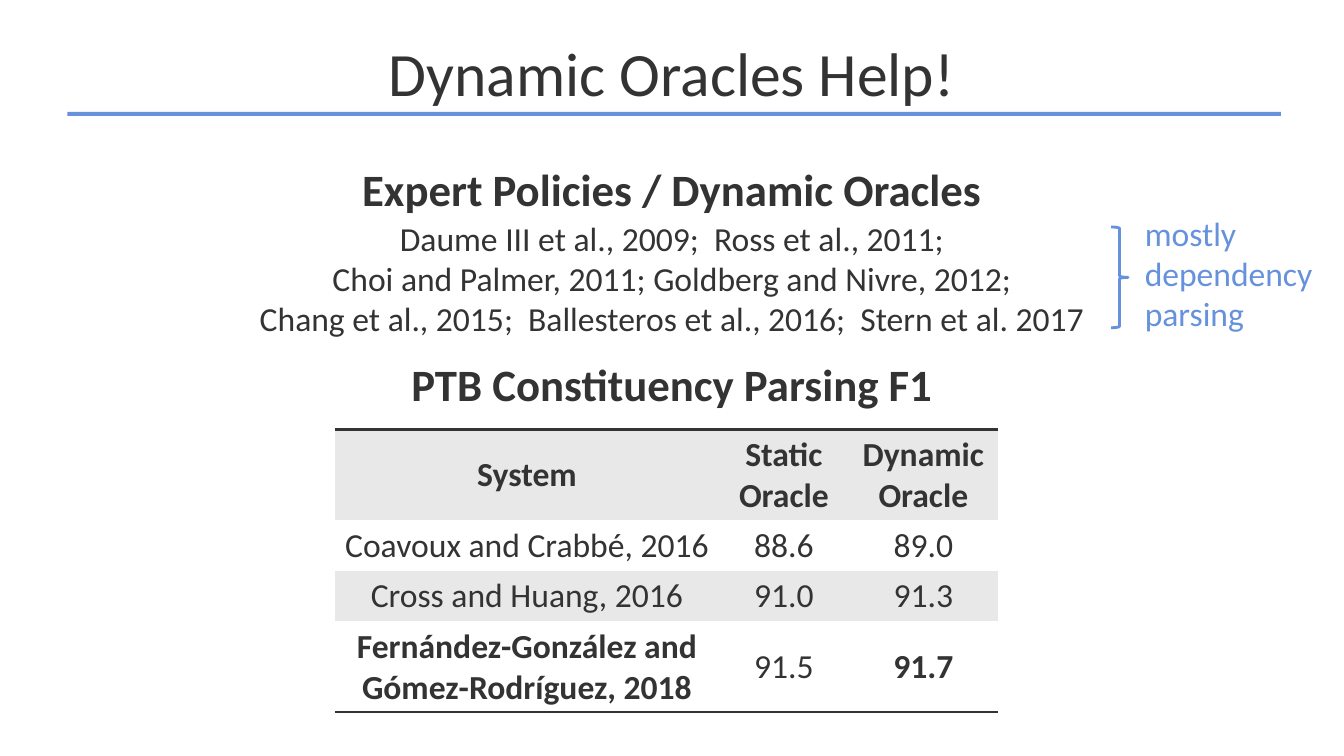
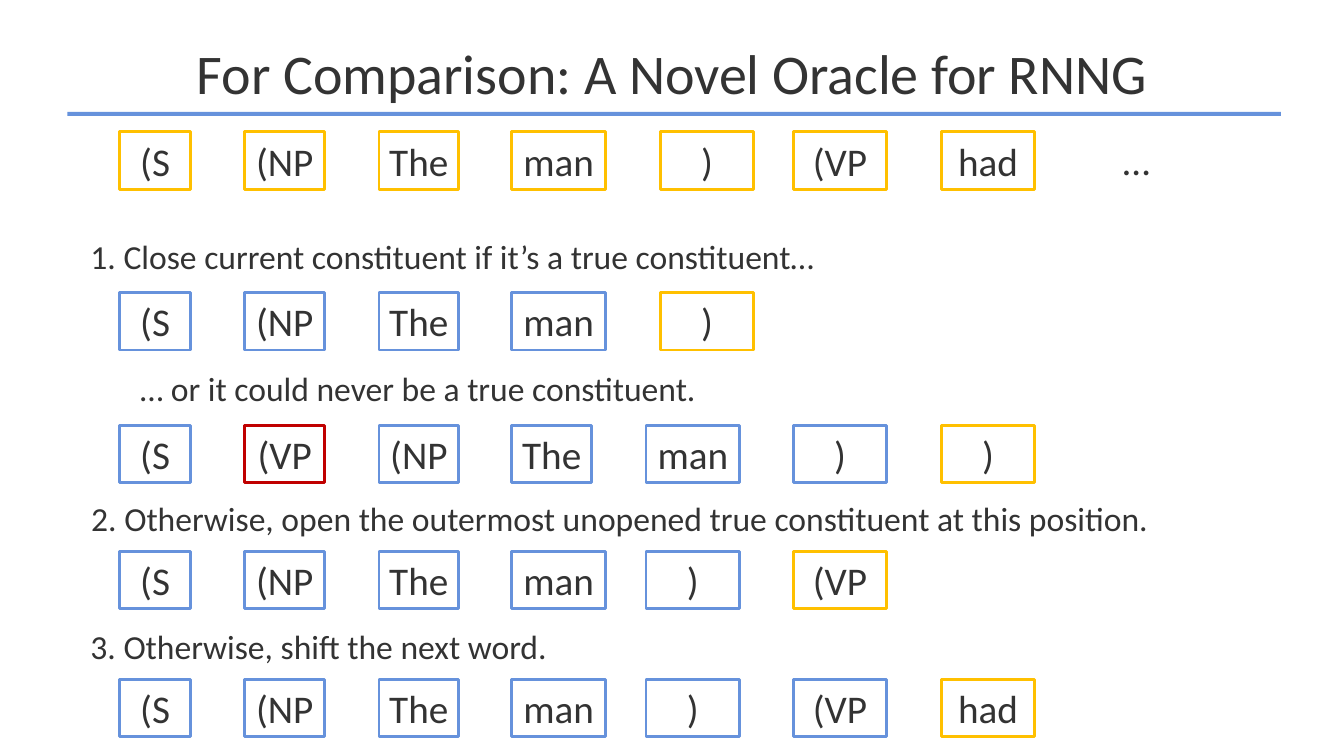
import pptx
import pptx.util
import pptx.dml.color
import pptx.enum.shapes
import pptx.enum.text
import pptx.oxml
import pptx.oxml.ns

Cm = pptx.util.Cm
Pt = pptx.util.Pt
SHAPE = pptx.enum.shapes.MSO_SHAPE
ALIGN = pptx.enum.text.PP_ALIGN
ANCHOR = pptx.enum.text.MSO_ANCHOR

INK = {"text": "333333", "blue": "6692DC", "gold": "FFC000",
       "red": "C00000", "band": "E8E8E8", "white": "FFFFFF"}
FONT = "Calibri"
WIDE, HIGH = 33.87, 19.05
NO_GRID = "{2D5ABB26-0587-4C30-8999-92F81FD0307C}"

# Token columns: left edge and widest box in each
LEFTS = [3.02, 6.17, 9.55, 12.9, 16.28, 19.99, 23.72, 27.46]
WIDTHS = [1.78, 2.01, 2.01] + [2.36] * 5
SHORT = {"The": 2.01}
TALL = 1.45
CLOSE_SHIFT = 0.36


def color(name):
    return pptx.dml.color.RGBColor.from_string(INK[name])


def write(frame, text, size=24, bold=False, ink="text", align=ALIGN.CENTER,
          anchor=ANCHOR.TOP, wrap=True):
    frame.text = text
    frame.word_wrap = wrap
    frame.vertical_anchor = anchor
    for para in frame.paragraphs:
        para.alignment = align
        for run in para.runs:
            run.font.name = FONT
            run.font.size = Pt(size)
            run.font.bold = bold
            run.font.color.rgb = color(ink)


def label(shapes, text, left, top, width, height, **style):
    box = shapes.add_textbox(Cm(left), Cm(top), Cm(width), Cm(height))
    write(box.text_frame, text, **style)


def draw(shapes, kind, left, top, width, height, fill=None, line=None):
    shape = shapes.add_shape(kind, Cm(left), Cm(top), Cm(width), Cm(height))
    shape.shadow.inherit = False
    if fill:
        shape.fill.solid()
        shape.fill.fore_color.rgb = color(fill)
    else:
        shape.fill.background()
    if line:
        shape.line.color.rgb = color(line)
        shape.line.width = Pt(2)
    else:
        shape.line.fill.background()
    return shape


def start(deck, text, size):
    """Add a slide with the shared title and the rule under it."""
    slide = deck.slides.add_slide(deck.slide_layouts[5])
    draw(slide.shapes, SHAPE.RECTANGLE, 1.7, 2.82, 30.58, 0.1, fill="blue")
    title = slide.shapes.title
    title.left, title.top = Cm(0), Cm(0.41)
    title.width, title.height = Cm(WIDE), Cm(2.79)
    write(title.text_frame, text, size=size, anchor=ANCHOR.MIDDLE)
    title.text_frame.auto_size = pptx.enum.text.MSO_AUTO_SIZE.NONE
    return slide.shapes


def edge(cell, side):
    """Rule one side of a cell: lnT is the top, lnB the bottom."""
    names = pptx.oxml.ns.nsdecls("a")
    xml = (f'<a:{side} {names} w="25400"><a:solidFill>'
           f'<a:srgbClr val="{INK["text"]}"/></a:solidFill></a:{side}>')
    cell._tc.get_or_add_tcPr().insert(0, pptx.oxml.parse_xml(xml))


def scores(shapes, rows, left, top, widths, heights, strong):
    """Add a banded table; strong holds the (row, column) of bold cells."""
    frame = shapes.add_table(len(rows), len(widths), Cm(left), Cm(top),
                             Cm(sum(widths)), Cm(sum(heights)))
    table = frame.table
    style = table._tbl.tblPr.find(pptx.oxml.ns.qn("a:tableStyleId"))
    style.text = NO_GRID
    for col, width in zip(table.columns, widths):
        col.width = Cm(width)
    for r, (row, height) in enumerate(zip(rows, heights)):
        table.rows[r].height = Cm(height)
        for c, text in enumerate(row):
            cell = table.cell(r, c)
            cell.fill.solid()
            cell.fill.fore_color.rgb = color("white" if r % 2 else "band")
            write(cell.text_frame, text, bold=r == 0 or (r, c) in strong)
            cell.vertical_anchor = ANCHOR.MIDDLE
            if r == 0:
                edge(cell, "lnT")
            if r == len(rows) - 1:
                edge(cell, "lnB")


def tokens(shapes, words, top, base="blue", wrong=None, late=False):
    """Box a row of words, the last in gold; late shifts the fifth box."""
    for i, word in enumerate(words.split()):
        left = LEFTS[i] + (CLOSE_SHIFT if late and i == 4 else 0)
        width = min(WIDTHS[i], SHORT.get(word, WIDTHS[i]))
        last = i == len(words.split()) - 1
        line = "red" if i == wrong else "gold" if last else base
        box = draw(shapes, SHAPE.RECTANGLE, left, top, width, TALL,
                   fill="white", line=line)
        write(box.text_frame, word, size=28, anchor=ANCHOR.MIDDLE, wrap=False)


def results(deck):
    shapes = start(deck, "Dynamic Oracles Help!", 44)
    for text, top in [("Expert Policies / Dynamic Oracles", 3.94),
                      ("PTB Constituency Parsing F1", 8.86)]:
        label(shapes, text, 0, top, WIDE, 1.63, size=32, bold=True)
    label(shapes, "Daume III et al., 2009;  Ross et al., 2011;\v"
          "Choi and Palmer, 2011; Goldberg and Nivre, 2012;\v"
          "Chang et al., 2015;  Ballesteros et al., 2016;  Stern et al. 2017",
          0, 5.36, WIDE, 3.33)
    aside = shapes.add_group_shape().shapes
    label(aside, "mostly dependency parsing", 28.6, 5.23, 4.8, 3.33,
          ink="blue", align=ALIGN.LEFT)
    draw(aside, SHAPE.RIGHT_BRACE, 28, 5.72, 0.43, 2.54, line="blue")
    rows = [["System", "Static Oracle", "Dynamic Oracle"],
            ["Coavoux and Crabbé, 2016", "88.6", "89.0"],
            ["Cross and Huang, 2016", "91.0", "91.3"],
            ["Fernández-González and\nGómez-Rodríguez, 2018", "91.5", "91.7"]]
    scores(shapes, rows, 8.43, 10.82, [9.7, 3.25, 3.78],
           [2.29, 1.27, 1.27, 2.29], {(3, 0), (3, 2)})


def oracle(deck):
    shapes = start(deck, "For Comparison: A Novel Oracle for RNNG", 40)
    tokens(shapes, "(S (NP The man ) (VP had", 3.32, base="gold", late=True)
    label(shapes, "…", LEFTS[7], 3.32, WIDTHS[7], TALL, size=28)
    steps = [
        ("1. Close current constituent if it’s a true constituent…",
         2.03, 5.82, "(S (NP The man )", 7.37, {"late": True}),
        ("… or it could never be a true constituent.",
         3.28, 9.14, "(S (VP (NP The man ) )", 10.72, {"wrong": 1}),
        ("2. Otherwise, open the outermost unopened true constituent "
         "at this position.",
         2.05, 12.42, "(S (NP The man ) (VP", 13.89, {}),
        ("3. Otherwise, shift the next word.",
         2.03, 15.65, "(S (NP The man ) (VP had", 17.12, {})]
    for text, left, top, words, row, marks in steps:
        label(shapes, text, left, top, 28, 1.27, align=ALIGN.LEFT)
        tokens(shapes, words, row, **marks)


def main():
    deck = pptx.Presentation()
    deck.slide_width, deck.slide_height = Cm(WIDE), Cm(HIGH)
    results(deck)
    oracle(deck)
    deck.save("out.pptx")


if __name__ == "__main__":
    main()
